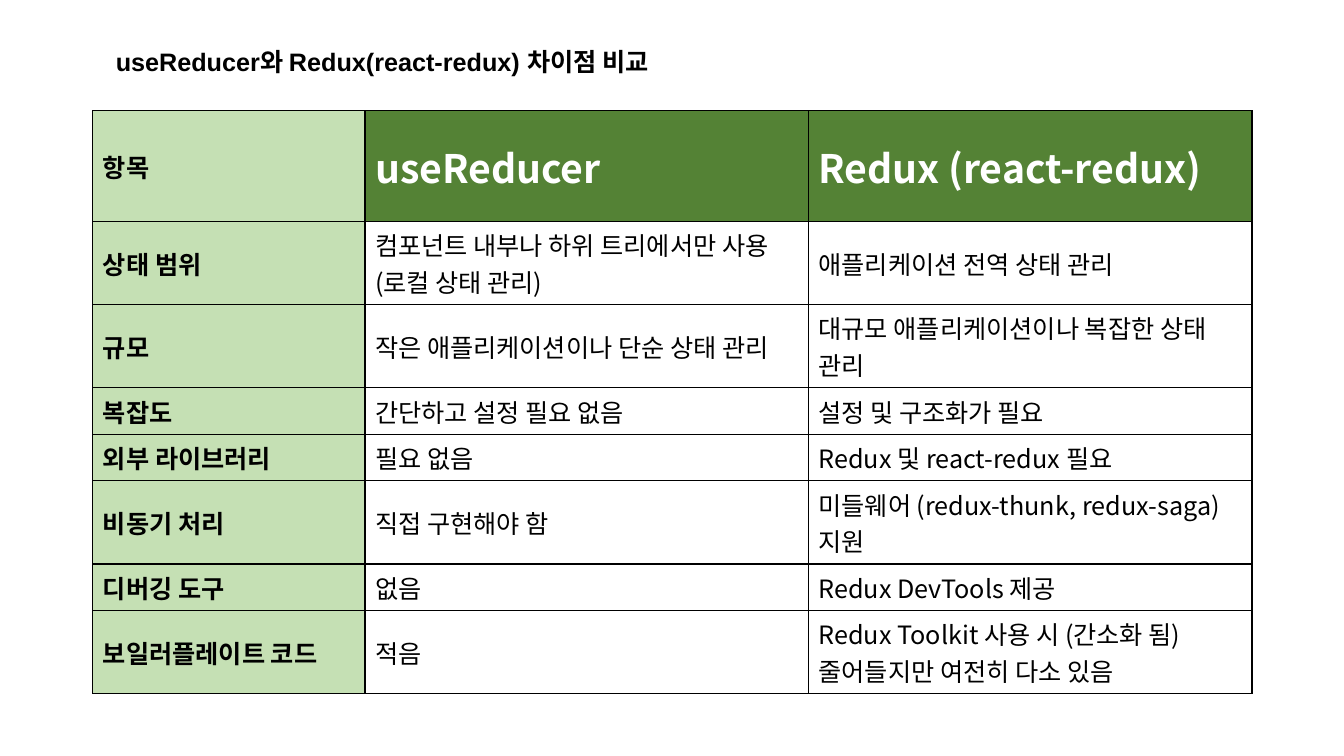
import lxml.etree
import pptx
import pptx.dml.color
import pptx.enum.text
import pptx.oxml.ns
import pptx.util
from pptx.util import Cm

BLACK = pptx.dml.color.RGBColor(0x00, 0x00, 0x00)
WHITE = pptx.dml.color.RGBColor(0xFF, 0xFF, 0xFF)
LIGHT_GREEN = pptx.dml.color.RGBColor(0xC5, 0xE0, 0xB4)
DARK_GREEN = pptx.dml.color.RGBColor(0x54, 0x82, 0x35)

TITLE = "useReducer와 Redux(react-redux) 차이점 비교"
TITLE_FONT = "Arial"
TABLE_FONT = "Noto Sans CJK KR"
COLUMN_SHARES = (2.7, 4.4, 4.4)
ROW_SHARES = (1.1, 0.79, 0.79, 0.45, 0.45, 0.79, 0.45, 0.79)
COMPARISON = (
    ("항목", "useReducer", "Redux (react-redux)"),
    ("상태 범위", "컴포넌트 내부나 하위 트리에서만 사용 (로컬 상태 관리)", "애플리케이션 전역 상태 관리"),
    ("규모", "작은 애플리케이션이나 단순 상태 관리", "대규모 애플리케이션이나 복잡한 상태 관리"),
    ("복잡도", "간단하고 설정 필요 없음", "설정 및 구조화가 필요"),
    ("외부 라이브러리", "필요 없음", "Redux 및 react-redux 필요"),
    ("비동기 처리", "직접 구현해야 함", "미들웨어 (redux-thunk, redux-saga) 지원"),
    ("디버깅 도구", "없음", "Redux DevTools 제공"),
    ("보일러플레이트 코드", "적음", "Redux Toolkit 사용 시 (간소화 됨)\n줄어들지만 여전히 다소 있음"),
)


def add_text(paragraph, text, font_name, size, color, bold):
    """Add one formatted run to a paragraph and return it."""
    run = paragraph.add_run()
    run.text = text
    run.font.name = font_name
    run.font.size = pptx.util.Pt(size)
    run.font.bold = bold
    run.font.color.rgb = color
    return run


def set_borders(cell):
    """Draw a thin black line on all four sides of a cell."""
    properties = cell._tc.get_or_add_tcPr()
    for position, side in enumerate(("a:lnL", "a:lnR", "a:lnT", "a:lnB")):
        line = lxml.etree.Element(pptx.oxml.ns.qn(side), w=str(pptx.util.Pt(1)))
        fill = lxml.etree.SubElement(line, pptx.oxml.ns.qn("a:solidFill"))
        lxml.etree.SubElement(fill, pptx.oxml.ns.qn("a:srgbClr"), val=str(BLACK))
        properties.insert(position, line)


def fill_cell(cell, text, background, size, color, bold):
    """Write the text of a cell and set its fill and borders."""
    cell.vertical_anchor = pptx.enum.text.MSO_ANCHOR.MIDDLE
    if background is None:
        cell.fill.background()
    else:
        cell.fill.solid()
        cell.fill.fore_color.rgb = background
    set_borders(cell)
    for index, line in enumerate(text.split("\n")):
        frame = cell.text_frame
        paragraph = frame.add_paragraph() if index else frame.paragraphs[0]
        run = add_text(paragraph, line, TABLE_FONT, size, color, bold)
        east_asian = lxml.etree.SubElement(run.font._element, pptx.oxml.ns.qn("a:ea"))
        east_asian.set("typeface", TABLE_FONT)


def add_title(slide, left, top, width, height):
    """Place the slide title in the given box."""
    frame = slide.shapes.add_textbox(left, top, width, height).text_frame
    frame.word_wrap = True
    frame.vertical_anchor = pptx.enum.text.MSO_ANCHOR.MIDDLE
    frame.margin_bottom = Cm(0.86)
    add_text(frame.paragraphs[0], TITLE, TITLE_FONT, 18, BLACK, True)


def add_comparison(slide, left, top, width, height):
    """Place the comparison table in the given box."""
    shape = slide.shapes.add_table(len(ROW_SHARES), len(COLUMN_SHARES), left, top, width, height)
    table = shape.table
    table.horz_banding = False
    for column, share in zip(table.columns, COLUMN_SHARES):
        column.width = int(width * share / sum(COLUMN_SHARES))
    for row, share in zip(table.rows, ROW_SHARES):
        row.height = int(height * share / sum(ROW_SHARES))
    for row_index, texts in enumerate(COMPARISON):
        for column_index, text in enumerate(texts):
            cell = table.cell(row_index, column_index)
            if column_index == 0:
                fill_cell(cell, text, LIGHT_GREEN, 18, BLACK, True)
            elif row_index == 0:
                fill_cell(cell, text, DARK_GREEN, 28, WHITE, True)
            else:
                fill_cell(cell, text, None, 18, BLACK, False)


def main():
    """Build the slide and save the presentation."""
    presentation = pptx.Presentation()
    presentation.slide_width = Cm(33.87)
    presentation.slide_height = Cm(19.05)
    slide = presentation.slides.add_slide(presentation.slide_layouts[6])
    add_comparison(slide, Cm(2.34), Cm(2.79), Cm(29.21), Cm(14.25))
    add_title(slide, Cm(2.67), Cm(1.02), Cm(14.45), Cm(1.8))
    presentation.save("out.pptx")


if __name__ == "__main__":
    main()
